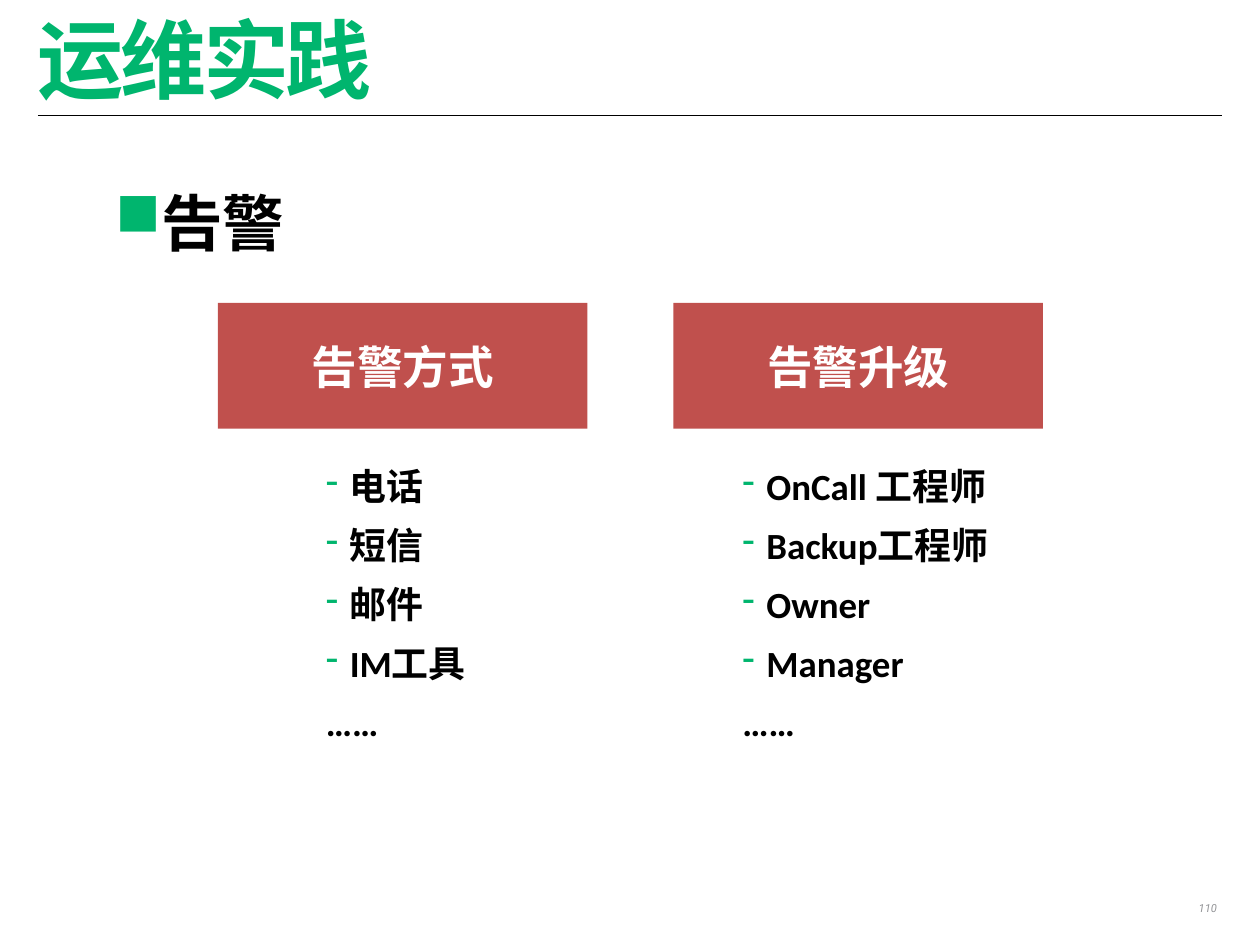
import pptx
import pptx.dml.color
import pptx.enum.shapes
import pptx.enum.text
import pptx.oxml.ns
import pptx.util
from lxml import etree

W, H = 14.22, 10.67
GREEN, RED, BLACK, WHITE, GREY = "00B56E", "C0504D", "000000", "FFFFFF", "929396"
LEFT = pptx.enum.text.PP_ALIGN.LEFT
CENTER = pptx.enum.text.PP_ALIGN.CENTER
RIGHT = pptx.enum.text.PP_ALIGN.RIGHT
TOP = pptx.enum.text.MSO_ANCHOR.TOP
MIDDLE = pptx.enum.text.MSO_ANCHOR.MIDDLE

MARGIN = 0.03 * W
COLUMN_LEFT, COLUMN_TOP = 2.46, 3.42
COLUMN_WIDTH, COLUMN_HEIGHT, COLUMN_STEP = 4.17, 5.15, 5.14
COLUMNS = [
    ("告警方式", 0.28, ["电话", "短信", "邮件", "IM工具"]),
    ("告警升级", 0.175, ["OnCall 工程师", "Backup工程师", "Owner", "Manager"]),
]


def color(value):
    """Turn a hex string into a colour."""
    return pptx.dml.color.RGBColor.from_string(value)


def inches(*lengths):
    """Turn lengths in inches into slide units."""
    return [pptx.util.Inches(n) for n in lengths]


def set_frame(tf, inset, anchor=TOP):
    """Set the insets, wrapping and anchor of a text frame."""
    tf.word_wrap = True
    tf.auto_size = pptx.enum.text.MSO_AUTO_SIZE.NONE
    tf.vertical_anchor = anchor
    tf.margin_left = tf.margin_top = tf.margin_right = tf.margin_bottom = pptx.util.Inches(inset)


def add_run(p, text, size, font, fill, bold=True, italic=False):
    """Add one formatted run to a paragraph."""
    r = p.add_run()
    r.text = text
    r.font.size = pptx.util.Pt(size)
    r.font.name = font
    r.font.bold = bold
    r.font.italic = italic
    r.font.color.rgb = color(fill)
    return r


def add_bullet(p, char, indent):
    """Give a paragraph a green bullet with a hanging indent."""
    pPr = p._p.get_or_add_pPr()
    pPr.set("marL", str(pptx.util.Inches(indent)))
    pPr.set("indent", str(-pptx.util.Inches(indent)))
    clr = etree.SubElement(pPr, pptx.oxml.ns.qn("a:buClr"))
    etree.SubElement(clr, pptx.oxml.ns.qn("a:srgbClr")).set("val", GREEN)
    etree.SubElement(pPr, pptx.oxml.ns.qn("a:buChar")).set("char", char)


def add_text(s, box, inset):
    """Add a text box and return its frame."""
    tf = s.shapes.add_textbox(*inches(*box)).text_frame
    set_frame(tf, inset)
    return tf


def add_title(s, box, text):
    """Place the title in its box with a rule near the lower edge."""
    x, y, w, h = box
    sp = s.shapes.title
    sp.left, sp.top, sp.width, sp.height = inches(*box)
    set_frame(sp.text_frame, 0, MIDDLE)
    p = sp.text_frame.paragraphs[0]
    p.alignment = LEFT
    p.line_spacing = 0.7
    r = add_run(p, text, 70, "Roboto", GREEN)
    r._r.get_or_add_rPr().set("spc", "-280")
    rule_y = y + 0.97 * h
    line = s.shapes.add_connector(
        pptx.enum.shapes.MSO_CONNECTOR.STRAIGHT, *inches(x, rule_y, x + w, rule_y))
    line.line.color.rgb = color(BLACK)
    line.line.width = pptx.util.Pt(1)
    etree.SubElement(line._element.spPr, pptx.oxml.ns.qn("a:effectLst"))


def add_heading(s, box, text):
    """Add the section heading with its square bullet."""
    p = add_text(s, box, 0.05).paragraphs[0]
    add_bullet(p, "■", 0.45)
    add_run(p, text, 50, "Roboto", BLACK)


def add_column(s, box, header, list_share, items):
    """Add a header bar and the dashed list below it."""
    x, y, w, h = box
    sp = s.shapes.add_shape(
        pptx.enum.shapes.MSO_SHAPE.RECTANGLE, *inches(x, y, w, 0.276 * h))
    sp.shadow.inherit = False
    sp.fill.solid()
    sp.fill.fore_color.rgb = color(RED)
    sp.line.fill.background()
    set_frame(sp.text_frame, 0.07, MIDDLE)
    p = sp.text_frame.paragraphs[0]
    p.alignment = CENTER
    add_run(p, header, 37, "Calibri", WHITE)

    list_box = (x + list_share * w, y + 0.342 * h, (1 - list_share) * w, 0.658 * h)
    tf = add_text(s, list_box, 0.05)
    for i, item in enumerate(items + ["……"]):
        p = tf.add_paragraph() if i else tf.paragraphs[0]
        if i:
            p.space_before = pptx.util.Pt(12)
        if i < len(items):
            add_bullet(p, "-", 0.27)
        add_run(p, item, 30, "Calibri", BLACK)


def add_page_number(s, box, text):
    """Add the page number in the lower right corner."""
    p = add_text(s, box, 0.06).paragraphs[0]
    p.alignment = RIGHT
    add_run(p, text, 9, "Roboto", GREY, bold=False, italic=True)


def main():
    """Build the slide and save it."""
    prs = pptx.Presentation()
    prs.slide_width, prs.slide_height = inches(W, H)
    s = prs.slides.add_slide(prs.slide_layouts[5])
    add_title(s, (MARGIN, 0.26, W - 2 * MARGIN, 1.08), "运维实践")
    add_heading(s, (1.25, 2.04, 3, 0.79), "告警")
    for i, column in enumerate(COLUMNS):
        box = (COLUMN_LEFT + i * COLUMN_STEP, COLUMN_TOP, COLUMN_WIDTH, COLUMN_HEIGHT)
        add_column(s, box, *column)
    add_page_number(s, (W - MARGIN - 0.5, 10.12, 0.5, 0.32), "110")
    prs.save("out.pptx")


if __name__ == "__main__":
    main()
